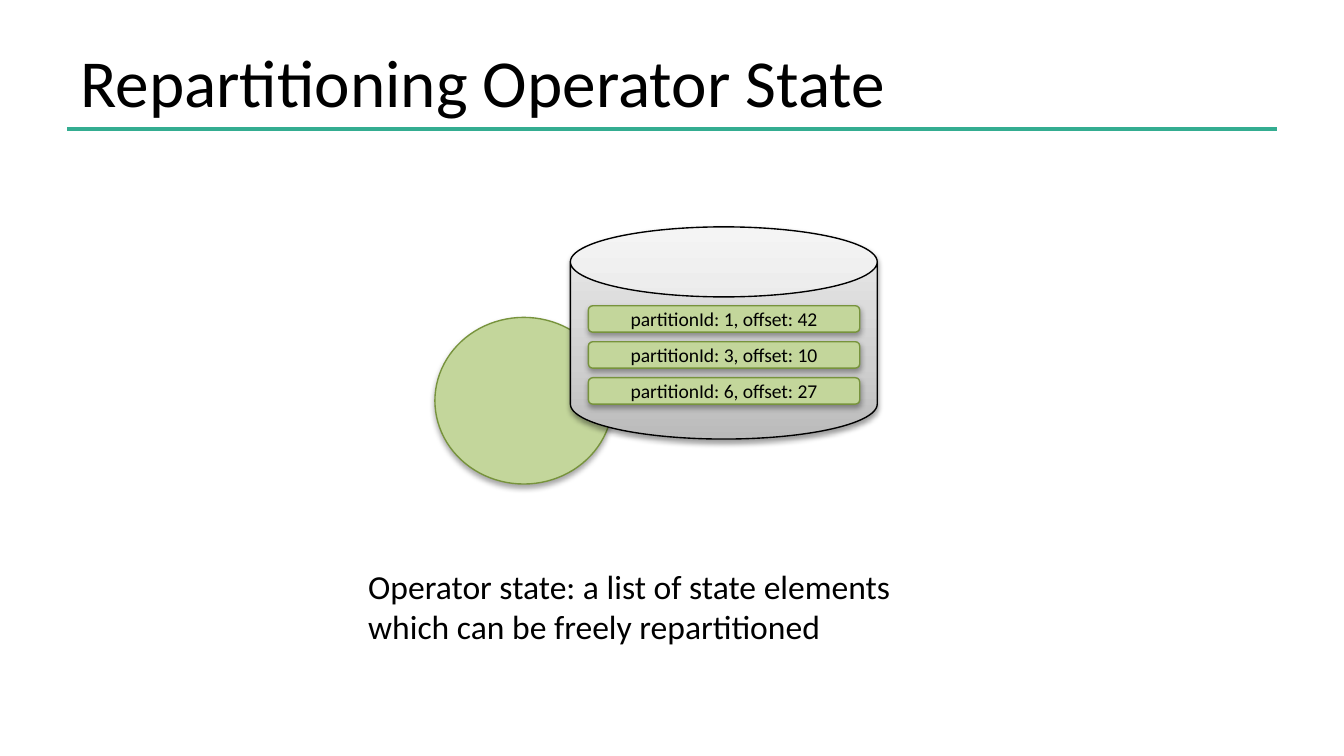
"""Builds the slide on repartitioning operator state."""
from copy import deepcopy

from lxml import etree
from pptx import Presentation
from pptx.dml.color import RGBColor
from pptx.enum.shapes import MSO_CONNECTOR, MSO_SHAPE
from pptx.enum.text import MSO_ANCHOR, PP_ALIGN
from pptx.oxml.ns import qn
from pptx.util import Cm, Pt

STRAIGHT = MSO_CONNECTOR.STRAIGHT
OVAL, CAN, ROUNDED = MSO_SHAPE.OVAL, MSO_SHAPE.CAN, MSO_SHAPE.ROUNDED_RECTANGLE
TOP, MIDDLE = MSO_ANCHOR.TOP, MSO_ANCHOR.MIDDLE
LEFT, CENTER = PP_ALIGN.LEFT, PP_ALIGN.CENTER

BLACK = RGBColor(0x00, 0x00, 0x00)
TEAL = RGBColor(0x34, 0xAD, 0x91)
GREEN = RGBColor(0xC3, 0xD6, 0x9B)
DARK_GREEN = RGBColor(0x77, 0x93, 0x3C)
GREYS = [
    (0, RGBColor(0xBA, 0xBA, 0xBA)),
    (0.35, RGBColor(0xCF, 0xCF, 0xCF)),
    (1, RGBColor(0xED, 0xED, 0xED)),
]

TITLE = "Repartitioning Operator State"
STATE_ELEMENTS = [
    "partitionId: 1, offset: 42",
    "partitionId: 3, offset: 10",
    "partitionId: 6, offset: 27",
]
CAPTION = [
    "Operator state: a list of state elements",
    "which can be freely repartitioned",
]
ELEMENT_LEFT, ELEMENT_TOP, ELEMENT_STEP = 11.12, 5.78, 0.68
ELEMENT_WIDTH, ELEMENT_HEIGHT = 5.13, 0.5


def write(box, lines, size, align=LEFT, anchor=TOP, margins=(0.1, 0.13)):
    frame = box.text_frame
    frame.word_wrap = True
    frame.vertical_anchor = anchor
    frame.margin_left = frame.margin_right = Cm(margins[0])
    frame.margin_top = frame.margin_bottom = Cm(margins[1])
    frame.text = "\n".join(lines)
    for para in frame.paragraphs:
        para.alignment = align
        para.font.size = Pt(size)
        para.font.name = "Calibri"
        para.font.color.rgb = BLACK


def add_shadow(shape, opacity, distance):
    shape.shadow.inherit = False
    effects = shape._element.spPr.find(qn("a:effectLst"))
    outer = etree.SubElement(
        effects, qn("a:outerShdw"), blurRad=str(Pt(3)),
        dist=str(Pt(distance)), dir="5400000", rotWithShape="0")
    color = etree.SubElement(outer, qn("a:srgbClr"), val=str(BLACK))
    etree.SubElement(color, qn("a:alpha"), val=str(opacity * 1000))


def add_green(page, kind, left, top, width, height):
    shape = page.shapes.add_shape(kind, Cm(left), Cm(top), Cm(width), Cm(height))
    shape.fill.solid()
    shape.fill.fore_color.rgb = GREEN
    shape.line.color.rgb = DARK_GREEN
    shape.line.width = Pt(0.75)
    add_shadow(shape, 35, 1.8)
    return shape


def add_store(page):
    store = page.shapes.add_shape(CAN, Cm(10.78), Cm(4.29), Cm(5.8), Cm(4.01))
    store.adjustments[0] = 0.33
    store.fill.gradient()
    store.fill.gradient_angle = 90
    stops = store._element.spPr.find(".//" + qn("a:gsLst"))
    stops.insert(1, deepcopy(stops[0]))
    for stop, (position, color) in zip(store.fill.gradient_stops, GREYS):
        stop.position = position
        stop.color.rgb = color
    store.line.color.rgb = BLACK
    store.line.width = Pt(0.75)
    add_shadow(store, 38, 1.6)


def main():
    deck = Presentation()
    deck.slide_width, deck.slide_height = Cm(25.4), Cm(14.29)
    page = deck.slides.add_slide(deck.slide_layouts[5])

    rule = page.shapes.add_connector(
        STRAIGHT, Cm(1.27), Cm(2.44), Cm(24.13), Cm(2.44))
    rule.line.color.rgb = TEAL
    rule.line.width = Pt(2)
    etree.SubElement(rule._element.spPr, qn("a:effectLst"))

    title = page.shapes.title
    title.left, title.top = Cm(1.27), Cm(0.58)
    title.width, title.height = Cm(22.86), Cm(1.88)
    write(title, [TITLE], 36, anchor=MIDDLE, margins=(0.25, 0.13))

    add_green(page, OVAL, 8.22, 6, 3.36, 3.15)
    add_store(page)
    for index, element in enumerate(STATE_ELEMENTS):
        bar = add_green(page, ROUNDED, ELEMENT_LEFT,
                        ELEMENT_TOP + index * ELEMENT_STEP,
                        ELEMENT_WIDTH, ELEMENT_HEIGHT)
        write(bar, [element], 10.5, align=CENTER, anchor=MIDDLE, margins=(0.1, 0))

    caption = page.shapes.add_textbox(Cm(6.86), Cm(10.57), Cm(14.17), Cm(1.8))
    write(caption, CAPTION, 18)
    deck.save("out.pptx")


if __name__ == "__main__":
    main()
